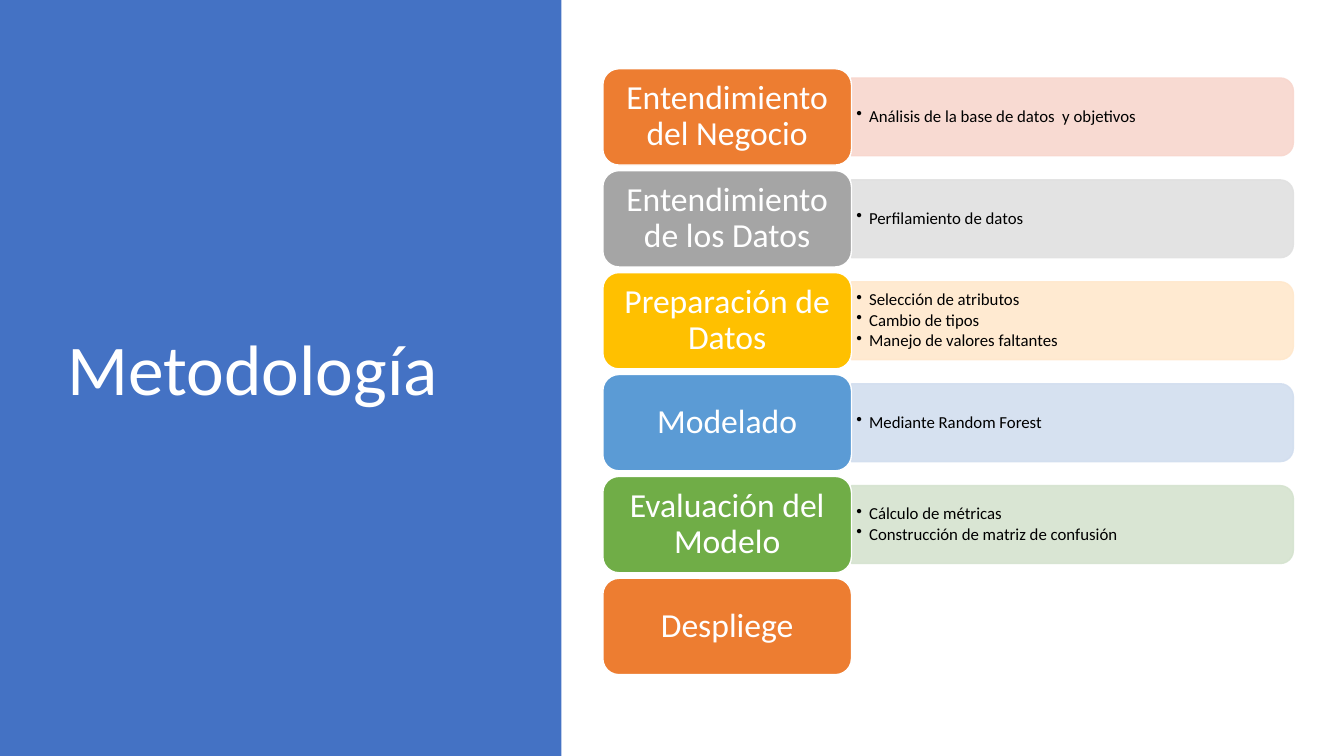
import dataclasses

import lxml.etree
import pptx
import pptx.dml.color
import pptx.enum.shapes
import pptx.enum.text
import pptx.oxml.ns
import pptx.util

Pt = pptx.util.Pt
Shape = pptx.enum.shapes.MSO_SHAPE
Align = pptx.enum.text.PP_ALIGN
Anchor = pptx.enum.text.MSO_ANCHOR
qn = pptx.oxml.ns.qn


@dataclasses.dataclass(frozen=True)
class Theme:
    """Colours and type sizes of the deck."""

    font: str = "Calibri"
    title_size: float = 51
    label_size: float = 24
    detail_size: float = 12
    panel: str = "4472C4"
    light: str = "FFFFFF"
    dark: str = "000000"


THEME = Theme()

PHASES = [
    ("Entendimiento del Negocio", "ED7D31", "F8D7CE", ["Análisis de la base de datos  y objetivos"]),
    ("Entendimiento de los Datos", "A5A5A5", "E1E1E1", ["Perfilamiento de datos"]),
    (
        "Preparación de Datos",
        "FFC000",
        "FFE8CC",
        ["Selección de atributos", "Cambio de tipos", "Manejo de valores faltantes"],
    ),
    ("Modelado", "5B9BD5", "D2DEEF", ["Mediante Random Forest"]),
    (
        "Evaluación del Modelo",
        "70AD47",
        "D5E3CF",
        ["Cálculo de métricas", "Construcción de matriz de confusión"],
    ),
    ("Despliege", "ED7D31", None, []),
]


def apply(target, formats):
    """Set each named format value on the target."""
    for name, value in formats.items():
        setattr(target, name, value)


def place(shape, left, top, width, height):
    """Move and size a shape, in points."""
    apply(shape, {"left": Pt(left), "top": Pt(top), "width": Pt(width), "height": Pt(height)})


def add_block(page, kind, box, fill, line=None, opacity=100):
    """Add a flat preset shape with an optional one-point outline."""
    block = page.shapes.add_shape(kind, *map(Pt, box))
    block.shadow.inherit = False
    block.fill.solid()
    block.fill.fore_color.rgb = pptx.dml.color.RGBColor.from_string(fill)
    if line:
        block.line.color.rgb = pptx.dml.color.RGBColor.from_string(line)
        block.line.width = Pt(1)
    else:
        block.line.fill.background()
    if opacity < 100:
        for colour in block.element.spPr.iter(qn("a:srgbClr")):
            lxml.etree.SubElement(colour, qn("a:alpha"), val=str(opacity * 1000))
    return block


def write(shape, lines, size, colour, align, frame_formats, gap=0, bullet=False):
    """Write paragraphs in one type style into a shape."""
    frame = shape.text_frame
    apply(frame, {"word_wrap": True, "vertical_anchor": Anchor.MIDDLE, **frame_formats})
    frame.text = "\n".join(lines)
    for para in frame.paragraphs:
        apply(
            para,
            {"alignment": align, "line_spacing": 0.9, "space_before": Pt(0), "space_after": Pt(gap)},
        )
        span = para.runs[0]
        apply(span.font, {"name": THEME.font, "size": Pt(size)})
        span.font.color.rgb = pptx.dml.color.RGBColor.from_string(colour)
        if bullet:
            apply(para, {"level": 1})
            properties = para._p.get_or_add_pPr()
            properties.set("marL", str(Pt(9)))
            properties.set("indent", str(Pt(-9)))
            lxml.etree.SubElement(properties, qn("a:buChar"), char="•")


def build_title_panel(page, left, top, width, height):
    """Build the coloured side panel with the slide title."""
    title = page.shapes.title
    panel = add_block(page, Shape.RECTANGLE, (left, top, width, height), THEME.panel)
    title.element.addprevious(panel.element)
    place(title, left + 41, top + 49, width - 101.5, height - 106.5)
    frame_formats = {"auto_size": pptx.enum.text.MSO_AUTO_SIZE.NONE}
    write(title, ["Metodología"], THEME.title_size, THEME.light, Align.LEFT, frame_formats)


def build_detail(page, left, top, width, height, tint, lines):
    """Build a bar rounded on its right side, with bulleted lines."""
    turned = (left + (width - height) / 2, top + (height - width) / 2, height, width)
    bar = add_block(page, Shape.ROUND_2_SAME_RECTANGLE, turned, tint, tint, 90)
    bar.rotation = 90
    note = page.shapes.add_textbox(*map(Pt, (left, top + 2.7, width - 2.7, height - 5.4)))
    margins = {
        "margin_left": Pt(3.6),
        "margin_right": Pt(3.6),
        "margin_top": Pt(1.8),
        "margin_bottom": Pt(1.8),
    }
    write(note, lines, THEME.detail_size, THEME.dark, Align.LEFT, margins, 1.8, True)


def build_phases(page, left, top, width, height):
    """Build one row for each phase, evenly spaced down the box."""
    label_width, label_height, bar_height = 177.6, 68.8, 55.6
    pitch = (height - label_height) / (len(PHASES) - 1)
    for index, (name, fill, tint, lines) in enumerate(PHASES):
        row_top = top + index * pitch
        if lines:
            bar_top = row_top + (label_height - bar_height) / 2
            bar_width = width - label_width
            build_detail(page, left + label_width, bar_top, bar_width, bar_height, tint, lines)
        box = (left, row_top, label_width, label_height)
        label = add_block(page, Shape.ROUNDED_RECTANGLE, box, fill, THEME.light)
        write(label, [name], THEME.label_size, THEME.light, Align.CENTER, {})


def main():
    """Build and save the deck."""
    deck = pptx.Presentation()
    apply(deck, {"slide_width": Pt(960), "slide_height": Pt(540)})
    page = deck.slides.add_slide(deck.slide_layouts[5])
    build_title_panel(page, 0, 0, 401, 540)
    build_phases(page, 430.6, 49.1, 493.2, 432.8)
    deck.save("out.pptx")


if __name__ == "__main__":
    main()
